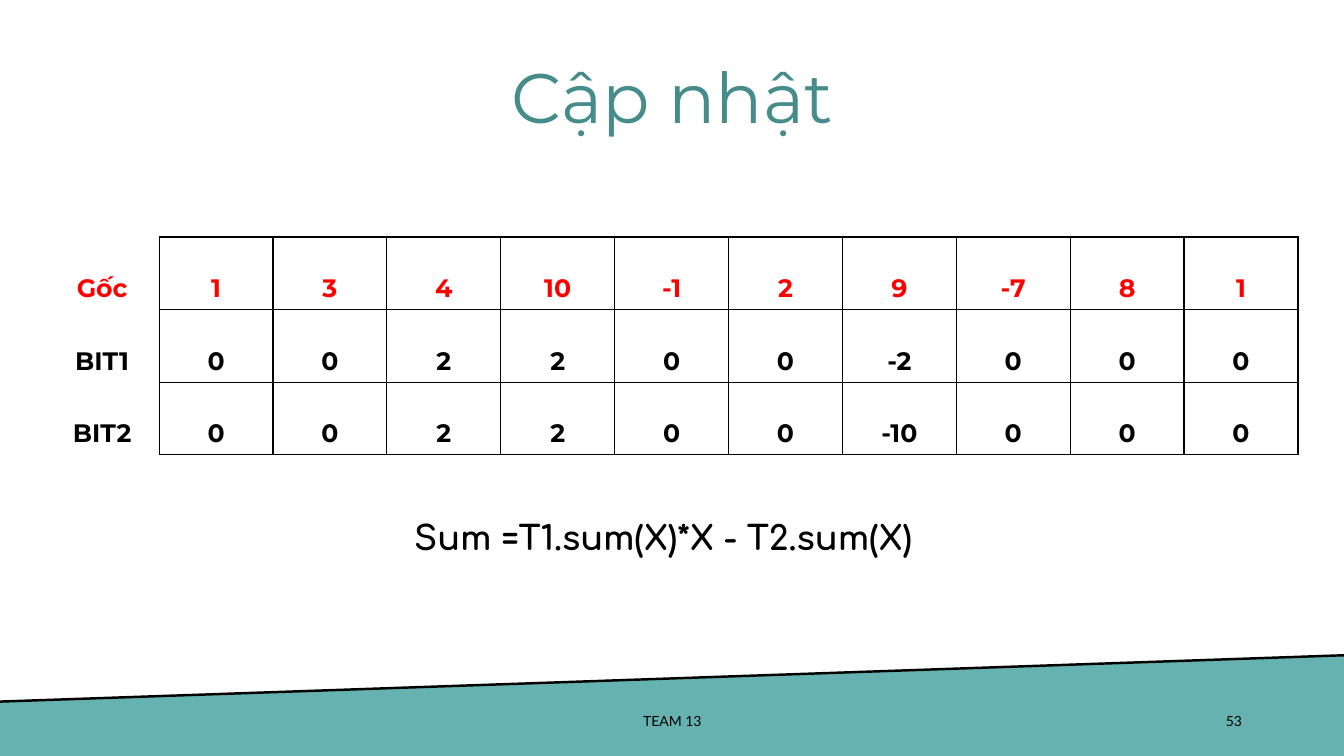
from dataclasses import dataclass

from lxml import etree
from pptx import Presentation
from pptx.dml.color import RGBColor
from pptx.enum.shapes import MSO_CONNECTOR
from pptx.enum.text import MSO_ANCHOR, PP_ALIGN
from pptx.oxml.ns import qn
from pptx.util import Cm, Pt

STRAIGHT = MSO_CONNECTOR.STRAIGHT
TOP, MIDDLE = MSO_ANCHOR.TOP, MSO_ANCHOR.MIDDLE
LEFT, CENTER, RIGHT = PP_ALIGN.LEFT, PP_ALIGN.CENTER, PP_ALIGN.RIGHT


@dataclass(frozen=True)
class Theme:
    black: str = "000000"
    red: str = "FF0000"
    title_color: str = "468C8A"
    band_color: str = "66B2B0"
    heading_font: str = "Montserrat"
    formula_font: str = "Comfortaa"
    footer_font: str = "Lato"
    title_size: int = 50
    formula_size: int = 24
    table_size: int = 18
    footer_size: int = 10


theme = Theme()


def write(paragraph, text, font_name, size, color, bold, alignment, spacing):
    paragraph.alignment = alignment
    paragraph.line_spacing = spacing
    run = paragraph.add_run()
    run.text = text
    run.font.name = font_name
    run.font.size = Pt(size)
    run.font.bold = bold
    run.font.color.rgb = RGBColor.from_string(color)


def add_border(cell, side, color):
    line = etree.SubElement(cell._tc.get_or_add_tcPr(), qn(f"a:ln{side}"), w=str(Pt(1)))
    if color is None:
        etree.SubElement(line, qn("a:noFill"))
    else:
        fill = etree.SubElement(line, qn("a:solidFill"))
        etree.SubElement(fill, qn("a:srgbClr"), val=color)


presentation = Presentation()
presentation.slide_width = Cm(33.87)
presentation.slide_height = Cm(19.05)
slide = presentation.slides.add_slide(presentation.slide_layouts[6])

band_start = (Cm(-0.03), Cm(17.68))
band_end = (Cm(33.91), Cm(16.51))
builder = slide.shapes.build_freeform(*band_start)
builder.add_line_segments([band_end, (Cm(33.91), Cm(19.05)), (Cm(0), Cm(19.13))])
band = builder.convert_to_shape()
band.shadow.inherit = False
band.fill.solid()
band.fill.fore_color.rgb = RGBColor.from_string(theme.band_color)
band.line.fill.background()

band_edge = slide.shapes.add_connector(STRAIGHT, *band_end, *band_start)
band_edge.line.color.rgb = RGBColor.from_string(theme.black)
band_edge.line.width = Pt(1.75)
etree.SubElement(band_edge._element.spPr, qn("a:effectLst"))

texts = [
    ("53", 23.93, 17.65, 7.62, 1.02, 0.13, MIDDLE,
     theme.footer_font, theme.footer_size, theme.black, False, RIGHT, 1.0),
    ("Cập nhật", 4.83, 1.22, 24.23, 2.62, 0.13, MIDDLE,
     theme.heading_font, theme.title_size, theme.title_color, False, CENTER, 0.9),
    ("TEAM 13", 11.23, 17.65, 11.43, 1.02, 0.13, MIDDLE,
     theme.footer_font, theme.footer_size, theme.black, False, CENTER, 1.0),
    ("Sum =T1.sum(X)*X - T2.sum(X)", 10.19, 12.62, 13.51, 2.72, 0.25, TOP,
     theme.formula_font, theme.formula_size, theme.black, True, LEFT, 1.15),
]
for text, left, top, width, height, inset, anchor, *style in texts:
    box = slide.shapes.add_textbox(Cm(left), Cm(top), Cm(width), Cm(height))
    frame = box.text_frame
    frame.word_wrap = True
    frame.vertical_anchor = anchor
    frame.margin_left = frame.margin_right = Cm(0.25)
    frame.margin_top = frame.margin_bottom = Cm(inset)
    write(frame.paragraphs[0], text, *style)

rows = [
    ("Gốc", theme.red, [1, 3, 4, 10, -1, 2, 9, -7, 8, 1]),
    ("BIT1", theme.black, [0, 0, 2, 2, 0, 0, -2, 0, 0, 0]),
    ("BIT2", theme.black, [0, 0, 2, 2, 0, 0, -10, 0, 0, 0]),
]
column_count = 11
column_width, row_height = 2.87, 1.83
table = slide.shapes.add_table(
    len(rows), column_count, Cm(1.14), Cm(5.97),
    Cm(column_width * column_count), Cm(row_height * len(rows)),
).table
table.first_row = False
table.horz_banding = False
for column in table.columns:
    column.width = Cm(column_width)

for row_index, (label, color, values) in enumerate(rows):
    table.rows[row_index].height = Cm(row_height)
    for column_index, value in enumerate([label, *values]):
        cell = table.cell(row_index, column_index)
        is_label = column_index == 0
        cell.vertical_anchor = MIDDLE
        cell.margin_left = cell.margin_right = Cm(0.25 if is_label else 0.18)
        cell.margin_top = cell.margin_bottom = Cm(0.13 if is_label else 0)
        for side in "LRTB":
            add_border(cell, side, None if is_label and side != "R" else theme.black)
        cell.fill.background()
        write(cell.text_frame.paragraphs[0], str(value), theme.heading_font,
              theme.table_size, color, True, CENTER, 2.0)

presentation.save("out.pptx")
